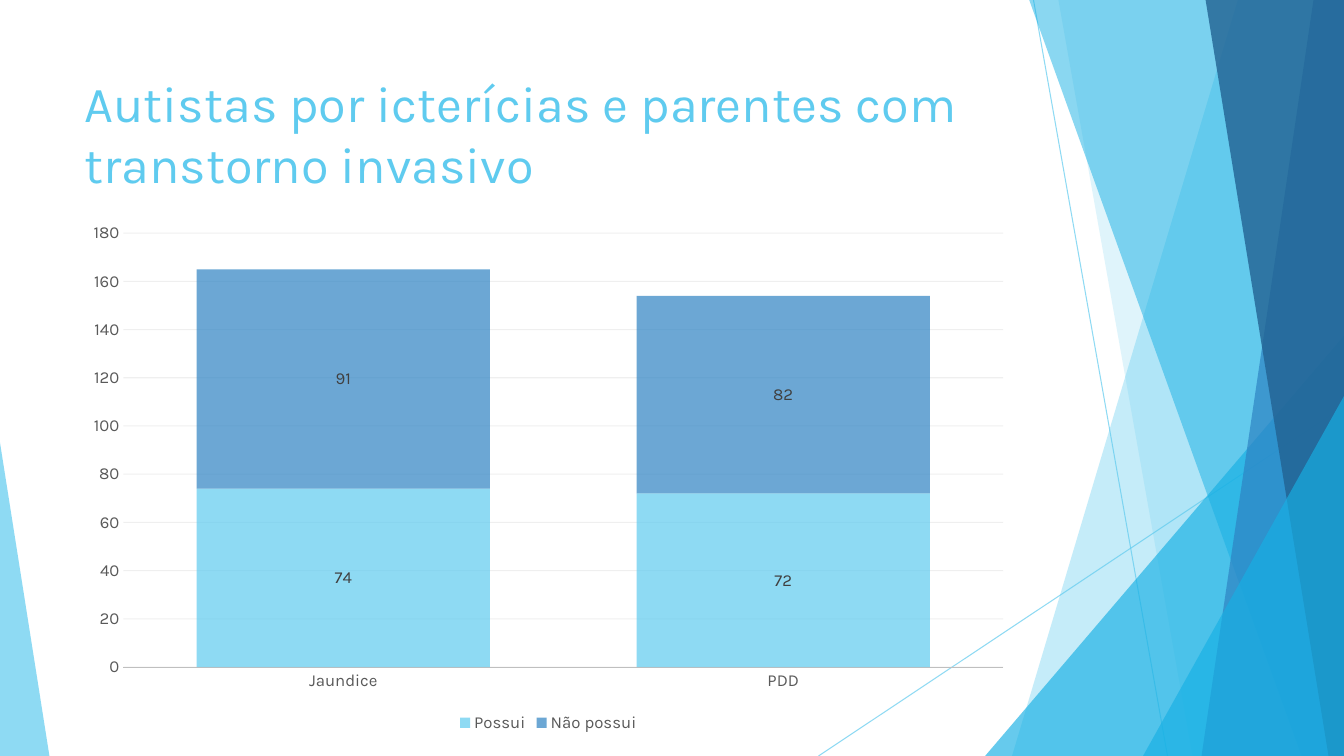
import pptx
import pptx.util
import pptx.chart.data
import pptx.dml.color
import pptx.enum.chart
import pptx.enum.shapes
import pptx.oxml
import pptx.oxml.ns

Pt = pptx.util.Pt
chart_enum = pptx.enum.chart
COLORS = {
    "sky": "5FCBEF", "cyan": "17B0E4", "blue": "2E83C3", "navy": "226292",
    "axis": "BFBFBF", "grid": "D9D9D9", "muted": "595959", "label": "404040",
}


def rgb(name):
    return pptx.dml.color.RGBColor.from_string(COLORS[name])


def set_opacity(element, percent):
    for color in element.iter(pptx.oxml.ns.qn("a:srgbClr")):
        alpha = pptx.oxml.parse_xml(
            f'<a:alpha {pptx.oxml.ns.nsdecls("a")} val="{percent * 1000}"/>')
        color.append(alpha)


def format_font(font, size, color):
    font.name, font.size, font.bold = "Karla", Pt(size), False
    font.color.rgb = rgb(color)


def write(frame, text, size=12, color="muted"):
    frame.word_wrap = True
    run = frame.paragraphs[0].add_run()
    run.text = text
    format_font(run.font, size, color)


class SlideBuilder:
    """Holds the style and current slide; lengths are percent of its size."""

    def __init__(self, deck):
        self.width, self.height = deck.slide_width, deck.slide_height
        self.slide = deck.slides.add_slide(deck.slide_layouts[6])
        self.shapes = self.slide.shapes

    def point(self, x, y):
        return round(self.width * x / 100), round(self.height * y / 100)

    def box(self, left, top, width, height):
        return *self.point(left, top), *self.point(width, height)

    def paint(self, shape, color, opacity):
        shape.shadow.inherit = False
        shape.fill.solid()
        shape.fill.fore_color.rgb = rgb(color)
        shape.line.fill.background()
        set_opacity(shape.element.spPr, opacity)

    def line(self, start, end):
        line = self.shapes.add_connector(
            pptx.enum.shapes.MSO_CONNECTOR.STRAIGHT, *self.point(*start), *self.point(*end))
        line.line.color.rgb = rgb("sky")
        line.line.width = Pt(0.75)
        set_opacity(line.element.spPr, 70)
        line.element.spPr.append(
            pptx.oxml.parse_xml(f'<a:effectLst {pptx.oxml.ns.nsdecls("a")}/>'))

    def band(self, top_x, bottom_x, color, opacity):
        """Full-height band from a slanted edge to the right side."""
        builder = self.shapes.build_freeform(*self.point(top_x, 0), scale=1.0)
        corners = [(100, 0), (100, 100), (bottom_x, 100)]
        builder.add_line_segments([self.point(*corner) for corner in corners])
        self.paint(builder.convert_to_shape(), color, opacity)

    def corner(self, left, right, top, peak, color, opacity):
        """Triangle on the bottom edge, with its peak at 0 (left) or 1 (right)."""
        triangle = self.shapes.add_shape(
            pptx.enum.shapes.MSO_SHAPE.ISOSCELES_TRIANGLE,
            *self.box(left, top, right - left, 100 - top))
        triangle.adjustments[0] = peak
        self.paint(triangle, color, opacity)

    def text(self, area, content, **style):
        write(self.shapes.add_textbox(*self.box(*area)).text_frame, content, **style)

    def stacked_chart(self, area, categories, series_values, series_colors):
        data = pptx.chart.data.CategoryChartData()
        data.categories = categories
        for name, values in series_values.items():
            data.add_series(name, values)
        chart = self.shapes.add_chart(
            chart_enum.XL_CHART_TYPE.COLUMN_STACKED, *self.box(*area), data).chart
        format_font(chart.font, 12, "muted")
        chart.has_title = False
        chart.has_legend = True
        chart.legend.position = chart_enum.XL_LEGEND_POSITION.BOTTOM
        chart.legend.include_in_layout = False
        format_font(chart.legend.font, 12, "muted")

        # Columns and their values
        plot = chart.plots[0]
        plot.vary_by_categories = False
        plot.gap_width, plot.overlap = 50, 100
        for series, color in zip(plot.series, series_colors):
            series.format.fill.solid()
            series.format.fill.fore_color.rgb = rgb(color)
            series.format.line.fill.background()
            set_opacity(series._element, 70)
            labels = series.data_labels
            labels.show_value = True
            labels.position = chart_enum.XL_LABEL_POSITION.CENTER
            format_font(labels.font, 12, "label")

        # Axes and gridlines
        amounts, groups = chart.value_axis, chart.category_axis
        amounts.minimum_scale, amounts.maximum_scale, amounts.major_unit = 0, 180, 20
        gridline = amounts.major_gridlines.format.line
        gridline.color.rgb, gridline.width = rgb("grid"), Pt(0.75)
        set_opacity(amounts._element, 40)
        amounts.format.line.fill.background()
        groups.format.line.color.rgb = rgb("axis")
        groups.format.line.width = Pt(0.75)
        for axis in (amounts, groups):
            axis.major_tick_mark = axis.minor_tick_mark = chart_enum.XL_TICK_MARK.NONE
            format_font(axis.tick_labels.font, 12, "muted")


deck = pptx.Presentation()
deck.slide_width, deck.slide_height = pptx.util.Inches(13.33), pptx.util.Inches(7.5)
page = SlideBuilder(deck)

# Faceted backdrop, from back to front
page.line((76.9, 0), (86.87, 100))
page.line((100, 53.73), (60.9, 100))
page.band(92.1, 75.3, "sky", 36)
page.band(78.75, 88.73, "sky", 20)
page.corner(73.3, 100, 44.4, 1, "cyan", 66)
page.band(76.58, 96.83, "cyan", 50)
page.band(97.73, 89.4, "blue", 70)
page.band(89.7, 98.85, "navy", 80)
page.corner(85.05, 100, 52.4, 1, "cyan", 66)
page.corner(0, 3.68, 58.53, 0, "sky", 70)

# Title
left, content_width = 5.55, 70.5
page.text((left, 8.93, content_width, 19.2),
          "Autistas por icterícias e parentes com transtorno invasivo", size=36, color="sky")

# Chart of autistic people by condition
page.stacked_chart(
    (left, 28.13, content_width, 69.33), ["Jaundice", "PDD"],
    {"Possui": [74, 72], "Não possui": [91, 82]}, ["sky", "blue"])

deck.save("out.pptx")
